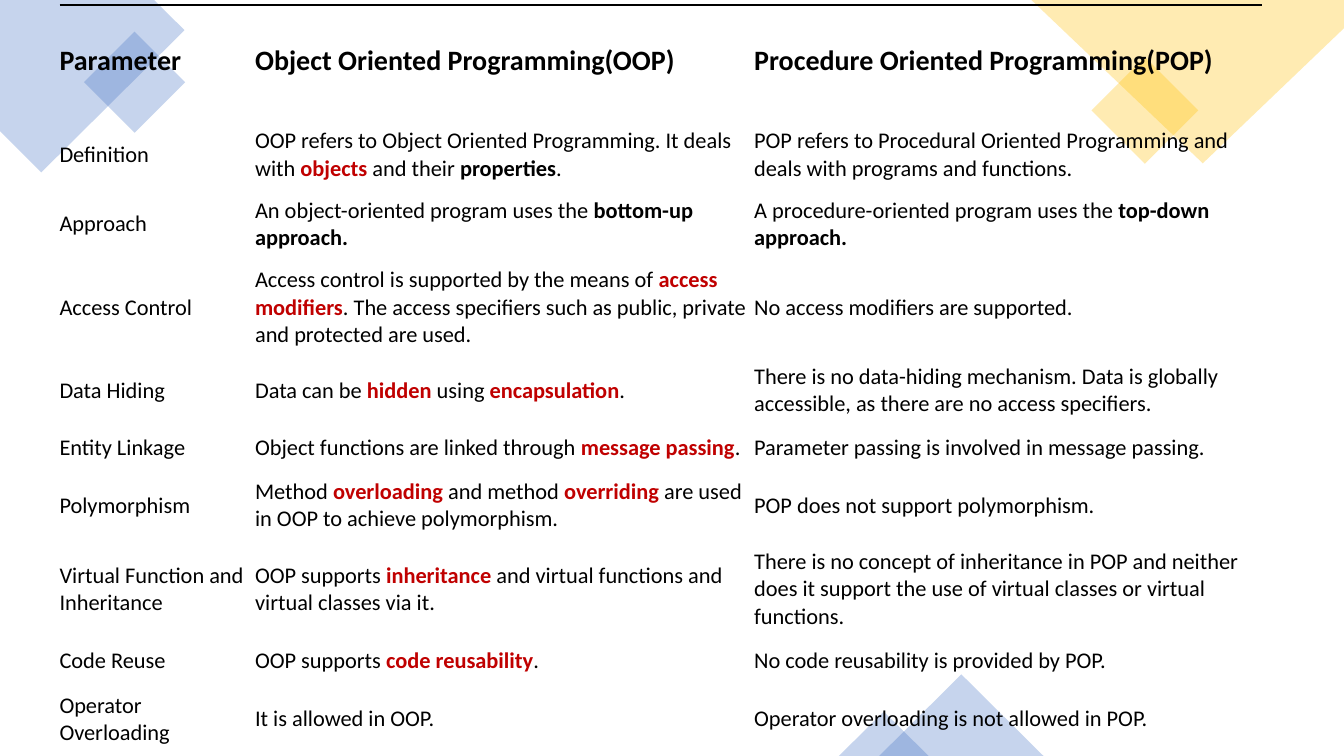
"""Build a slide comparing object oriented and procedure oriented programming."""
from dataclasses import dataclass

from pptx import Presentation
from pptx.dml.color import RGBColor
from pptx.enum.shapes import MSO_SHAPE
from pptx.enum.text import MSO_ANCHOR
from pptx.oxml.ns import qn
from pptx.oxml.xmlchemy import OxmlElement
from pptx.shapes.autoshape import Shape
from pptx.slide import Slide
from pptx.table import _Cell
from pptx.util import Inches, Pt

RECTANGLE = MSO_SHAPE.RECTANGLE
TRIANGLE = MSO_SHAPE.ISOSCELES_TRIANGLE
MIDDLE = MSO_ANCHOR.MIDDLE
BLANK_LAYOUT = 6


@dataclass(frozen=True)
class Theme:
    font: str = "Calibri"
    text: str = "000000"
    keyword: str = "C00000"
    blue: str = "4472C4"
    gold: str = "FFC000"
    opacity: int = 30
    header_size: int = 20
    body_size: int = 16
    rule_width: int = 1


THEME = Theme()


@dataclass(frozen=True)
class Run:
    text: str
    bold: bool = False
    color: str = THEME.text


@dataclass(frozen=True)
class Ornament:
    kind: MSO_SHAPE
    left: float
    top: float
    width: float
    height: float
    color: str
    rotation: float = 0


@dataclass(frozen=True)
class Corner:
    points: tuple[tuple[float, float], ...]
    color: str


@dataclass(frozen=True)
class Row:
    height: float
    parameter: str
    oop: tuple[Run, ...]
    pop: tuple[Run, ...]


def bold(text: str) -> Run:
    """Return a bold run."""
    return Run(text, True)


def keyword(text: str) -> Run:
    """Return a bold run in the keyword colour."""
    return Run(text, True, THEME.keyword)


CORNERS = (
    Corner(((1.53, 0), (0, 0), (0, 1.3), (0.41, 1.71), (1.83, 0.3)), THEME.blue),
    Corner(((13.33, 0), (10.23, 0), (11.93, 1.62), (13.33, 0.28)), THEME.gold),
)
ORNAMENTS = (
    Ornament(RECTANGLE, 0.98, 0.46, 0.71, 0.71, THEME.blue, 315),
    Ornament(RECTANGLE, 10.98, 0.72, 0.75, 0.75, THEME.gold, 315),
    Ornament(TRIANGLE, 8.72, 6.69, 1.63, 0.81, THEME.blue),
    Ornament(TRIANGLE, 8.32, 7.06, 0.89, 0.44, THEME.blue),
)
TABLE_LEFT, TABLE_TOP = 0.59, 0.05
COLUMN_WIDTHS = (1.94, 4.95, 5.04)
ROWS = (
    Row(1.18, "Parameter", (bold("Object Oriented Programming(OOP)"),),
        (bold("Procedure Oriented Programming(POP)"),)),
    Row(0.69, "Definition",
        (Run("OOP refers to Object Oriented Programming. It deals with "), keyword("objects"),
         Run(" and their "), bold("properties"), Run(".")),
        (Run("POP refers to Procedural Oriented Programming and deals with programs and functions."),)),
    Row(0.69, "Approach",
        (Run("An object-oriented program uses the "), bold("bottom-up approach.")),
        (Run("A procedure-oriented program uses the "), bold("top-down approach."))),
    Row(0.96, "Access Control",
        (Run("Access control is supported by the means of "), keyword("access modifiers"),
         Run(". The access specifiers such as public, private and protected are used.")),
        (Run("No access modifiers are supported."),)),
    Row(0.69, "Data Hiding",
        (Run("Data can be "), keyword("hidden"), Run(" using "), keyword("encapsulation"), Run(".")),
        (Run("There is no data-hiding mechanism. Data is globally accessible, "
             "as there are no access specifiers."),)),
    Row(0.45, "Entity Linkage",
        (Run("Object functions are linked through "), keyword("message passing"), Run(".")),
        (Run("Parameter passing is involved in message passing."),)),
    Row(0.69, "Polymorphism",
        (Run("Method "), keyword("overloading"), Run(" and method "), keyword("overriding"),
         Run(" are used in OOP to achieve polymorphism.")),
        (Run("POP does not support polymorphism."),)),
    Row(0.97, "Virtual Function and Inheritance",
        (Run("OOP supports "), keyword("inheritance"),
         Run(" and virtual functions and virtual classes via it.")),
        (Run("There is no concept of inheritance in POP and neither does it support "
             "the use of virtual classes or virtual functions."),)),
    Row(0.46, "Code Reuse",
        (Run("OOP supports "), keyword("code reusability"), Run(".")),
        (Run("No code reusability is provided by POP."),)),
    Row(0.69, "Operator Overloading",
        (Run("It is allowed in OOP."),),
        (Run("Operator overloading is not allowed in POP."),)),
)


def tint(shape: Shape, color: str) -> None:
    """Give a shape a translucent fill without line or shadow."""
    shape.shadow.inherit = False
    shape.line.fill.background()
    shape.fill.solid()
    shape.fill.fore_color.rgb = RGBColor.from_string(color)
    alpha = OxmlElement("a:alpha")
    alpha.set("val", str(THEME.opacity * 1000))
    shape.element.spPr.find(qn("a:solidFill"))[0].append(alpha)


def add_corner(slide: Slide, corner: Corner) -> None:
    """Draw one corner outline."""
    points = [(Inches(x), Inches(y)) for x, y in corner.points]
    builder = slide.shapes.build_freeform(*points[0])
    builder.add_line_segments(points[1:], close=True)
    tint(builder.convert_to_shape(), corner.color)


def add_ornament(slide: Slide, ornament: Ornament) -> None:
    """Draw one preset ornament."""
    box = (ornament.left, ornament.top, ornament.width, ornament.height)
    shape = slide.shapes.add_shape(ornament.kind, *map(Inches, box))
    shape.rotation = ornament.rotation
    tint(shape, ornament.color)


def set_borders(cell: _Cell, ruled_sides: set[str]) -> None:
    """Rule the named sides of a cell and clear the others."""
    properties = cell._tc.get_or_add_tcPr()
    for side in "LRTB":
        line = OxmlElement(f"a:ln{side}")
        line.set("w", str(Pt(THEME.rule_width)))
        fill = OxmlElement("a:solidFill" if side in ruled_sides else "a:noFill")
        if side in ruled_sides:
            color = OxmlElement("a:srgbClr")
            color.set("val", THEME.text)
            fill.append(color)
        line.append(fill)
        properties.append(line)


def fill_cell(cell: _Cell, runs: tuple[Run, ...], size: int, ruled_sides: set[str]) -> None:
    """Format a cell and write its runs."""
    set_borders(cell, ruled_sides)
    cell.fill.background()
    cell.vertical_anchor = MIDDLE
    cell.margin_left, cell.margin_right = Inches(0), Inches(0.02)
    cell.margin_top, cell.margin_bottom = Inches(0.03), Inches(0.11)
    paragraph = cell.text_frame.paragraphs[0]
    for item in runs:
        run = paragraph.add_run()
        run.text = item.text
        run.font.name = THEME.font
        run.font.size = Pt(size)
        run.font.bold = item.bold
        run.font.color.rgb = RGBColor.from_string(item.color)


def add_comparison(slide: Slide) -> None:
    """Draw the comparison table."""
    width, height = sum(COLUMN_WIDTHS), sum(row.height for row in ROWS)
    table = slide.shapes.add_table(len(ROWS), len(COLUMN_WIDTHS), Inches(TABLE_LEFT),
                                   Inches(TABLE_TOP), Inches(width), Inches(height)).table
    table.first_row = table.horz_banding = False
    for column, column_width in zip(table.columns, COLUMN_WIDTHS):
        column.width = Inches(column_width)
    for index, row in enumerate(ROWS):
        table.rows[index].height = Inches(row.height)
        is_header = index == 0
        size = THEME.header_size if is_header else THEME.body_size
        ruled_sides = {"T"} if is_header else {"B"} if index == len(ROWS) - 1 else set()
        contents = ((Run(row.parameter, is_header),), row.oop, row.pop)
        for cell, runs in zip(table.rows[index].cells, contents):
            fill_cell(cell, runs, size, ruled_sides)


def main() -> None:
    """Build and save the presentation."""
    presentation = Presentation()
    presentation.slide_width, presentation.slide_height = Inches(13.33), Inches(7.5)
    slide = presentation.slides.add_slide(presentation.slide_layouts[BLANK_LAYOUT])
    for corner in CORNERS:
        add_corner(slide, corner)
    for ornament in ORNAMENTS:
        add_ornament(slide, ornament)
    add_comparison(slide)
    presentation.save("out.pptx")


if __name__ == "__main__":
    main()
